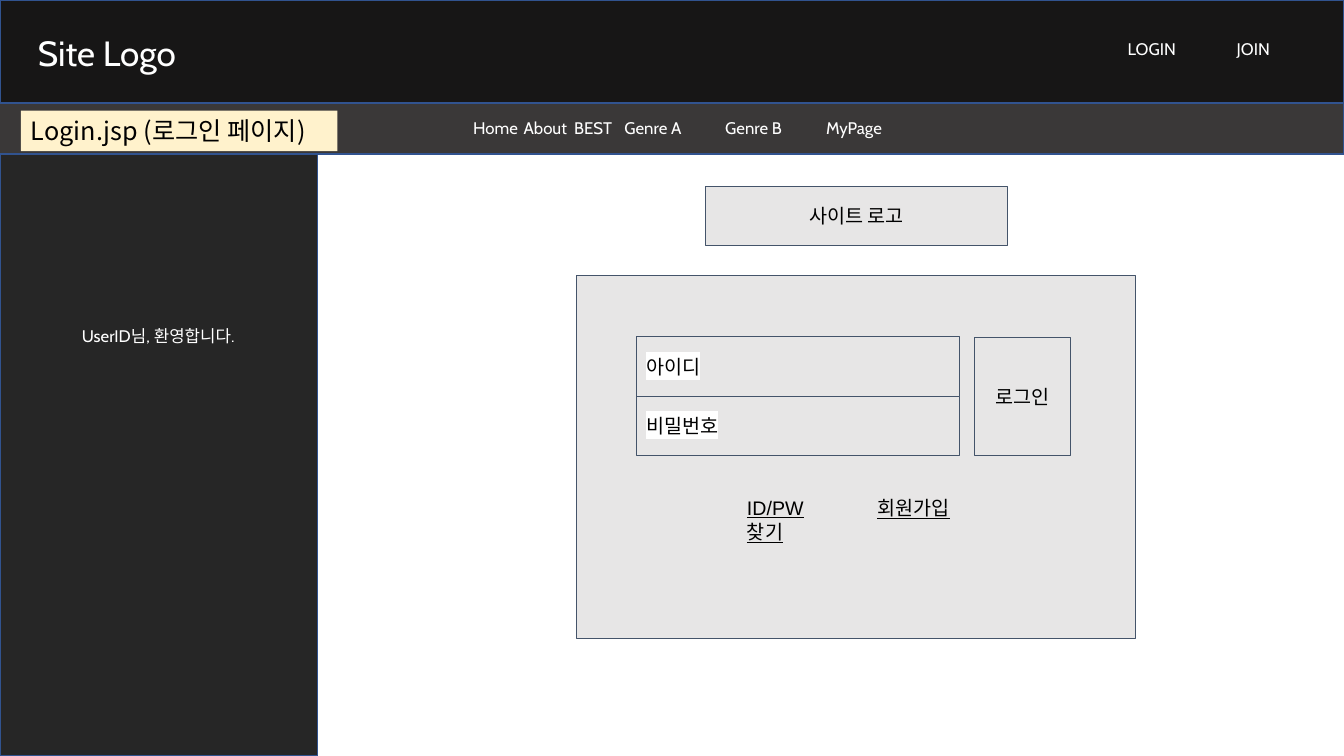
from lxml import etree
from pptx import Presentation
from pptx.dml.color import RGBColor
from pptx.enum.shapes import MSO_SHAPE
from pptx.enum.text import MSO_ANCHOR, MSO_AUTO_SIZE, PP_ALIGN
from pptx.oxml.ns import qn
from pptx.util import Pt

RECTANGLE = MSO_SHAPE.RECTANGLE
LEFT, CENTER = PP_ALIGN.LEFT, PP_ALIGN.CENTER
TOP, MIDDLE = MSO_ANCHOR.TOP, MSO_ANCHOR.MIDDLE
GROW, FIXED = MSO_AUTO_SIZE.SHAPE_TO_FIT_TEXT, MSO_AUTO_SIZE.NONE
KOREAN_FONT = "Noto Sans CJK KR"
COLORS = {
    "sidebar": "262626",
    "header": "171616",
    "navigation": "3A3838",
    "frame": "31538F",
    "label": "FFF2CC",
    "panel": "E7E6E6",
    "outline": "44546A",
    "white": "FFFFFF",
    "black": "000000",
}

presentation = Presentation()
presentation.slide_width = Pt(960)
presentation.slide_height = Pt(540)
slide = presentation.slides.add_slide(presentation.slide_layouts[6])


def add_box(bounds, fill, line=None, line_width=0.75):
    shape = slide.shapes.add_shape(RECTANGLE, *map(Pt, bounds))
    shape.shadow.inherit = False
    shape.fill.solid()
    shape.fill.fore_color.rgb = RGBColor.from_string(COLORS[fill])
    if line:
        shape.line.color.rgb = RGBColor.from_string(COLORS[line])
        shape.line.width = Pt(line_width)
    else:
        shape.line.fill.background()
    return shape


def write_text(shape, text, size, font, color, align=LEFT, anchor=TOP, auto_size=GROW, margin=3.6):
    text_frame = shape.text_frame
    text_frame.word_wrap = True
    text_frame.auto_size = auto_size
    text_frame.vertical_anchor = anchor
    text_frame.margin_left = text_frame.margin_right = Pt(7.2)
    text_frame.margin_top = text_frame.margin_bottom = Pt(margin)
    text_frame.text = text
    paragraph = text_frame.paragraphs[0]
    paragraph.alignment = align
    run = paragraph.runs[0]
    run.font.size = Pt(size)
    run.font.name = font
    run.font.color.rgb = RGBColor.from_string(COLORS[color])
    east_asian = etree.SubElement(run.font._element, qn("a:ea"))
    east_asian.set("typeface", KOREAN_FONT)
    return run


for bounds, fill in [
    ((0, 110, 227, 430), "sidebar"),
    ((0, 0, 960, 73.5), "header"),
    ((-3, 73.5, 963, 36.5), "navigation"),
]:
    add_box(bounds, fill, "frame", 1)

menu = "\t".join(["Home", "About ", "BEST", "Genre A", "Genre B", "MyPage"])
for bounds, text, size, align in [
    ((20, 19, 134, 37.5), "Site Logo", 25, LEFT),
    ((786.5, 24.5, 72.5, 21.5), "LOGIN", 12, CENTER),
    ((859, 24.5, 72.5, 21.5), "JOIN", 12, CENTER),
    ((7.5, 80.5, 953, 21.5), menu, 12, CENTER),
    ((38, 229, 150, 21.5), "UserID님, 환영합니다.", 12, CENTER),
]:
    text_box = slide.shapes.add_textbox(*map(Pt, bounds))
    write_text(text_box, text, size, "Cabin", "white", align)

page_label = add_box((15, 79, 226, 29), "label")
write_text(page_label, "Login.jsp (로그인 페이지)", 18, KOREAN_FONT, "black")

add_box((412, 197, 399, 259), "panel", "outline")

for bounds, text, align, highlighted in [
    ((454.5, 240.5, 231, 42.5), "아이디", LEFT, True),
    ((454.5, 283, 231, 42.5), "비밀번호", LEFT, True),
    ((696, 241, 68.5, 84.5), "로그인", CENTER, False),
    ((504, 133, 215.5, 42.5), "사이트 로고", CENTER, False),
]:
    box = add_box(bounds, "panel", "outline")
    run = write_text(box, text, 14, "Arial", "black", align, MIDDLE, FIXED, 7.2)
    if highlighted:
        highlight = etree.Element(qn("a:highlight"))
        etree.SubElement(highlight, qn("a:srgbClr")).set("val", COLORS["white"])
        run.font._element.find(qn("a:latin")).addprevious(highlight)

for left, text, align, right_margin in [
    (526.5, "ID/PW 찾기", LEFT, 16),
    (608.5, "회원가입", CENTER, 7.2),
]:
    link_box = slide.shapes.add_textbox(Pt(left), Pt(347), Pt(88), Pt(31.5))
    run = write_text(link_box, text, 14, "Arial", "black", align, margin=7.2)
    run.font.underline = True
    link_box.text_frame.margin_right = Pt(right_margin)

presentation.save("out.pptx")
